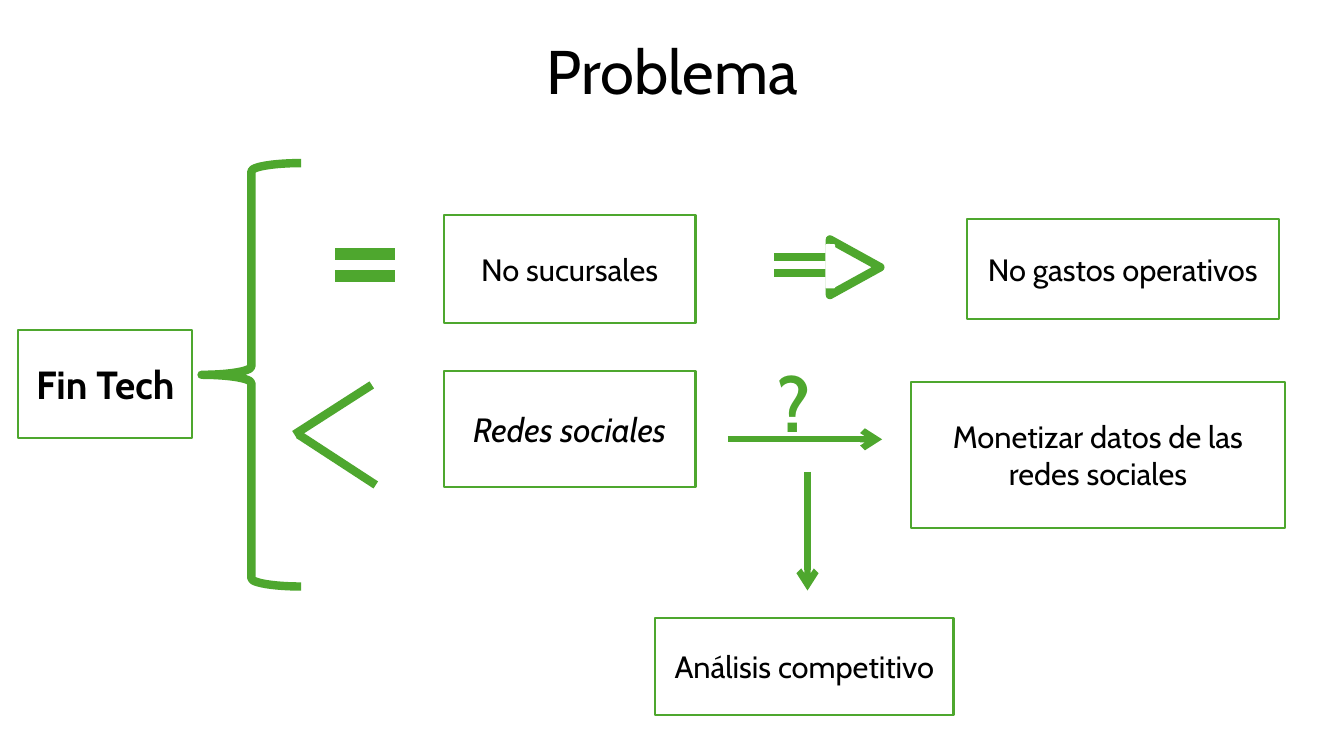
from lxml import etree
from pptx import Presentation
from pptx.dml.color import RGBColor
from pptx.enum.shapes import MSO_CONNECTOR, MSO_SHAPE
from pptx.enum.text import MSO_ANCHOR, MSO_AUTO_SIZE, PP_ALIGN
from pptx.oxml.ns import qn
from pptx.util import Cm, Pt

RECTANGLE = MSO_SHAPE.RECTANGLE
ROUNDED = MSO_SHAPE.ROUNDED_RECTANGLE
EQUAL = MSO_SHAPE.MATH_EQUAL
TRIANGLE = MSO_SHAPE.ISOSCELES_TRIANGLE
BRACE = MSO_SHAPE.LEFT_BRACE
STRAIGHT = MSO_CONNECTOR.STRAIGHT
CENTER, LEFT = PP_ALIGN.CENTER, PP_ALIGN.LEFT
MIDDLE, TOP = MSO_ANCHOR.MIDDLE, MSO_ANCHOR.TOP

GREEN = RGBColor(0x4E, 0xA7, 0x2E)
BLACK = RGBColor(0, 0, 0)
WHITE = RGBColor(0xFF, 0xFF, 0xFF)
FONT = "Cabin"

TITLE = ("Problema", (2.34, 0.05, 29.21, 3.68))
QUESTION = ("?", (19.35, 8.86, 2.06, 2.57))
BOXES = [
    ("Fin Tech", (0.46, 8.31, 4.39, 2.74), {"size": 28, "bold": True}),
    ("No sucursales", (11.18, 5.41, 6.35, 2.74), {}),
    ("No gastos operativos", (24.36, 5.51, 7.87, 2.54), {}),
    ("Redes sociales", (11.18, 9.35, 6.35, 2.92), {"size": 24, "italic": True}),
    ("Monetizar datos de las redes sociales", (22.96, 9.63, 9.42, 3.68), {}),
    ("Análisis competitivo", (16.51, 15.57, 7.52, 2.44), {}),
]
EQUAL_SIGN = (8.13, 5.89, 2.16, 1.57)
IMPLIES_BARS = (19.2, 6.1, 2.06, 1.17)
IMPLIES_HEAD = (20.85, 6.1, 1.4, 1.27)
IMPLIES_GAP = (20.8, 6.15, 0.25, 1.12)
BRACE_FRAME = (5.08, 4.11, 2.51, 10.67)
LESS_THAN = [(9.37, 9.7, 7.42, 10.95), (9.47, 12.22, 7.52, 10.95)]
ARROWS = [(18.34, 11.07, 22.23, 11.07), (20.35, 11.89, 20.35, 14.88)]


def lengths(values):
    return [Cm(value) for value in values]


def write_text(shape, text, size=22, color=BLACK, bold=False, italic=False,
               align=CENTER, anchor=MIDDLE, spacing=1.0):
    frame = shape.text_frame
    frame.word_wrap = True
    frame.vertical_anchor = anchor
    paragraph = frame.paragraphs[0]
    paragraph.alignment = align
    paragraph.line_spacing = spacing
    run = paragraph.add_run()
    run.text = text
    run.font.name = FONT
    run.font.size = Pt(size)
    run.font.bold = bold
    run.font.italic = italic
    run.font.color.rgb = color


def add_figure(shapes, kind, frame, fill=None, line=None, width=1.5):
    shape = shapes.add_shape(kind, *lengths(frame))
    shape.shadow.inherit = False
    if fill is None:
        shape.fill.background()
    else:
        shape.fill.solid()
        shape.fill.fore_color.rgb = fill
    if line is None:
        shape.line.fill.background()
    else:
        shape.line.color.rgb = line
        shape.line.width = Pt(width)
    return shape


def add_line(shapes, ends, width, arrow=False):
    connector = shapes.add_connector(STRAIGHT, *lengths(ends))
    connector.line.color.rgb = GREEN
    connector.line.width = Pt(width)
    if arrow:
        etree.SubElement(connector.line._get_or_add_ln(), qn("a:tailEnd"), type="arrow")
    etree.SubElement(connector._element.spPr, qn("a:effectLst"))


def main():
    presentation = Presentation()
    presentation.slide_width, presentation.slide_height = Cm(33.87), Cm(19.05)
    slide = presentation.slides.add_slide(presentation.slide_layouts[6])
    shapes = slide.shapes

    text, frame = TITLE
    write_text(shapes.add_textbox(*lengths(frame)), text, size=44, spacing=0.9)

    for text, frame, style in BOXES:
        write_text(add_figure(shapes, RECTANGLE, frame, line=GREEN), text, **style)

    add_figure(shapes, EQUAL, EQUAL_SIGN, fill=GREEN, line=WHITE, width=2)

    implies = shapes.add_group_shape().shapes
    add_figure(implies, EQUAL, IMPLIES_BARS, fill=GREEN, line=WHITE, width=2)
    add_figure(implies, TRIANGLE, IMPLIES_HEAD, line=GREEN, width=6).rotation = 90
    add_figure(implies, ROUNDED, IMPLIES_GAP, fill=WHITE)

    less_than = shapes.add_group_shape().shapes
    for ends in LESS_THAN:
        add_line(less_than, ends, 6)

    for ends in ARROWS:
        add_line(shapes, ends, 4.5, arrow=True)

    text, frame = QUESTION
    question = shapes.add_textbox(*lengths(frame))
    write_text(question, text, size=54, color=GREEN, bold=True, align=LEFT, anchor=TOP)
    question.text_frame.auto_size = MSO_AUTO_SIZE.SHAPE_TO_FIT_TEXT

    add_figure(shapes, BRACE, BRACE_FRAME, line=GREEN, width=6)
    presentation.save("out.pptx")


if __name__ == "__main__":
    main()
